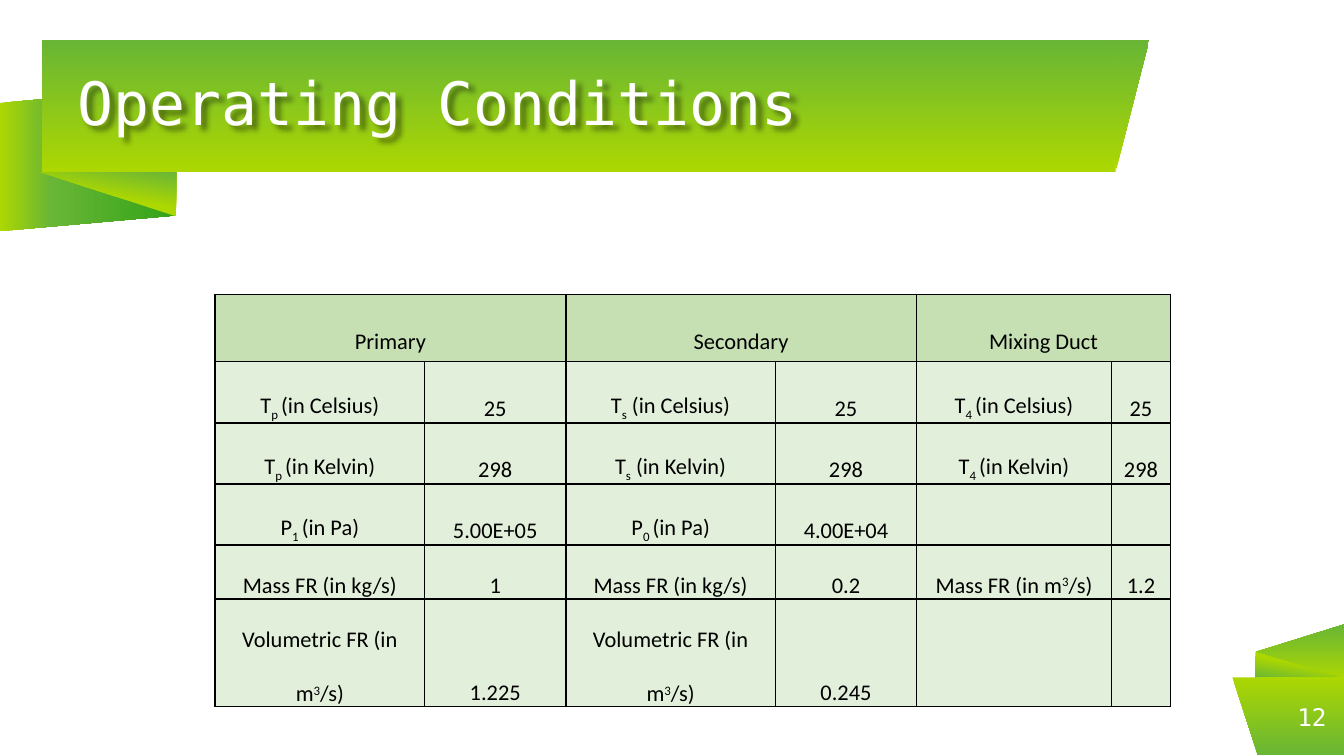
import pptx
import pptx.util
import pptx.dml.color
import pptx.enum.shapes
import pptx.enum.text
import pptx.oxml
import pptx.oxml.ns
import lxml.etree

Inches, Pt = pptx.util.Inches, pptx.util.Pt
SHAPE = pptx.enum.shapes.MSO_SHAPE
ANCHOR = pptx.enum.text.MSO_ANCHOR
ALIGN = pptx.enum.text.PP_ALIGN
qn = pptx.oxml.ns.qn

LIME, GREEN, DARK = "ACD701", "69B636", "32A318"
BAND = [(0, LIME), (100, GREEN)]
FOLD = [(0, LIME), (47, LIME), (100, GREEN)]
TAIL = [(0, LIME), (29, GREEN), (100, DARK)]
MONO = "DejaVu Sans Mono"
SUB, SUPER = -25, 30


def rgb(value):
    return pptx.dml.color.RGBColor.from_string(value)


def add_run(p, text, size, font, color, baseline=0):
    r = p.add_run()
    r.text = text
    r.font.size, r.font.name = Pt(size), font
    r.font.color.rgb = rgb(color)
    if baseline:
        r._r.get_or_add_rPr().set("baseline", str(baseline * 1000))


def set_frame(tf):
    tf.word_wrap = True
    tf.vertical_anchor = ANCHOR.MIDDLE
    tf.margin_left = tf.margin_top = tf.margin_right = tf.margin_bottom = 0


def add_piece(slide, kind, box, stops, angle, rot=0, flip=False, adj=None):
    """Add one gradient piece of a ribbon; angle runs clockwise."""
    s = slide.shapes.add_shape(kind, *map(Inches, box))
    s.shadow.inherit = False
    s.line.fill.background()
    s.rotation = rot
    if flip:
        s._element.spPr.xfrm.set("flipH", "1")
    if adj is not None:
        s.adjustments[0] = adj
    s.fill.gradient()
    s.fill.gradient_angle = (360 - angle) % 360
    gs_list = s._element.spPr.find(".//" + qn("a:gsLst"))
    for gs in list(gs_list):
        gs_list.remove(gs)
    for pos, color in stops:
        gs = lxml.etree.SubElement(gs_list, qn("a:gs"), pos=str(pos * 1000))
        lxml.etree.SubElement(gs, qn("a:srgbClr"), val=color)


def add_title_ribbon(slide, x, y, w, h, text):
    tip = 0.25
    add_piece(slide, SHAPE.PARALLELOGRAM, (x - 0.19, y + 0.23, 1.07, 1.31),
              TAIL, 90, 270, True, 0.109)
    add_piece(slide, SHAPE.RIGHT_TRIANGLE, (x - 0.01, y + h, 1.01, 0.33),
              FOLD, 100, 180)
    add_piece(slide, SHAPE.RECTANGLE, (x, y, w - tip, h), BAND, 90, 180, True)
    add_piece(slide, SHAPE.ISOSCELES_TRIANGLE, (x + w - tip, y, tip, h),
              BAND, 90, 180, adj=1)

    title = slide.shapes.title
    title.left, title.top = Inches(x + 0.27), Inches(y)
    title.width, title.height = Inches(7.48), Inches(h)
    slide.shapes._spTree.append(title._element)  # in front of the ribbon
    title._element.spPr.append(pptx.oxml.parse_xml(
        f'<a:effectLst {pptx.oxml.ns.nsdecls("a")}>'
        '<a:outerShdw blurRad="38100" dist="38100" dir="2700000" algn="tl">'
        '<a:srgbClr val="000000"><a:alpha val="43000"/></a:srgbClr>'
        '</a:outerShdw></a:effectLst>'))
    tf = title.text_frame
    set_frame(tf)
    tf.auto_size = pptx.enum.text.MSO_AUTO_SIZE.NONE
    p = tf.paragraphs[0]
    p.alignment, p.line_spacing = ALIGN.LEFT, 0.9
    add_run(p, text, 32, MONO, "FFFFFF")


def add_page_ribbon(slide, x, y, w, h, number):
    tip = 0.18
    add_piece(slide, SHAPE.ISOSCELES_TRIANGLE, (x + 0.3, y - 0.52, 0.41, 0.66),
              BAND, 0, 270, adj=0.5)
    add_piece(slide, SHAPE.RIGHT_TRIANGLE, (x + 0.17, y - 0.19, 0.66, 0.2), FOLD, 100)
    add_piece(slide, SHAPE.RECTANGLE, (x + tip, y, w - tip, h), BAND, 270, 180)
    add_piece(slide, SHAPE.ISOSCELES_TRIANGLE, (x, y, tip + 0.01, h),
              BAND, 270, 180, True, 1)
    box = slide.shapes.add_textbox(*map(Inches, (x + 0.17, y, 0.53, h)))
    set_frame(box.text_frame)
    p = box.text_frame.paragraphs[0]
    p.alignment = ALIGN.RIGHT
    add_run(p, number, 13, MONO, "FFFFFF")


def plain(text):
    return [(text, 0)]


def symbol(letter, index, rest):
    return [(letter, 0), (index, SUB), (rest, 0)]


def cubic(label):
    return [(label + " (in m", 0), ("3", SUPER), ("/s)", 0)]


def temperature_row(unit, value):
    labels = [("p ", ""), ("s", " "), ("4 ", "")]
    return [cell for index, gap in labels
            for cell in (symbol("T", index, f"{gap}(in {unit})"), plain(value))]


def fill_cell(cell, parts, color, margins):
    cell.vertical_anchor = ANCHOR.BOTTOM
    cell.margin_left = cell.margin_right = Inches(margins[0])
    cell.margin_top = cell.margin_bottom = Inches(margins[1])
    cell.fill.solid()
    cell.fill.fore_color.rgb = rgb(color)
    tc_pr = cell._tc.get_or_add_tcPr()
    for i, side in enumerate(("lnL", "lnR", "lnT", "lnB")):
        ln = pptx.oxml.parse_xml(
            f'<a:{side} {pptx.oxml.ns.nsdecls("a")} w="12700"><a:solidFill>'
            f'<a:srgbClr val="000000"/></a:solidFill></a:{side}>')
        tc_pr.insert(i, ln)
    p = cell.text_frame.paragraphs[0]
    p.alignment, p.line_spacing = ALIGN.CENTER, 2.0
    for text, baseline in parts:
        add_run(p, text, 12, "Calibri", "000000", baseline)


def add_conditions_table(slide, x, y, w, h):
    widths = [1.56, 1.05, 1.56, 1.05, 1.45, 0.44]
    heights = [0.46] + [0.36] * 4 + [0.78]
    mass, volume = plain("Mass FR (in kg/s)"), cubic("Volumetric FR")
    rows = [
        [plain("Primary"), [], plain("Secondary"), [], plain("Mixing Duct"), []],
        temperature_row("Celsius", "25"),
        temperature_row("Kelvin", "298"),
        [symbol("P", "1 ", "(in Pa)"), plain("5.00E+05"),
         symbol("P", "0 ", "(in Pa)"), plain("4.00E+04"), [], []],
        [mass, plain("1"), mass, plain("0.2"), cubic("Mass FR"), plain("1.2")],
        [volume, plain("1.225"), volume, plain("0.245"), [], []],
    ]
    table = slide.shapes.add_table(len(rows), len(widths),
                                   *map(Inches, (x, y, w, h))).table
    for column, width in zip(table.columns, widths):
        column.width = Inches(width)
    for row, height in zip(table.rows, heights):
        row.height = Inches(height)
    for i, row in enumerate(rows):
        color, margins = ("E2EFDA", (0.08, 0)) if i else ("C6E0B4", (0.1, 0.05))
        for j, parts in enumerate(row):
            fill_cell(table.cell(i, j), parts, color, margins)
    for j in range(0, len(widths), 2):
        table.cell(0, j).merge(table.cell(0, j + 1))


def main():
    prs = pptx.Presentation()
    prs.slide_width = Inches(10)
    prs.slide_height = prs.slide_width * 9 // 16
    slide = prs.slides.add_slide(prs.slide_layouts[5])
    add_title_ribbon(slide, 0.31, 0.3, 8.24, 0.98, "Operating Conditions")
    add_page_ribbon(slide, 9.17, 5.04, 0.83, 0.58, "12")
    add_conditions_table(slide, 1.6, 2.19, 7.11, 2.69)
    prs.save("out.pptx")


if __name__ == "__main__":
    main()
